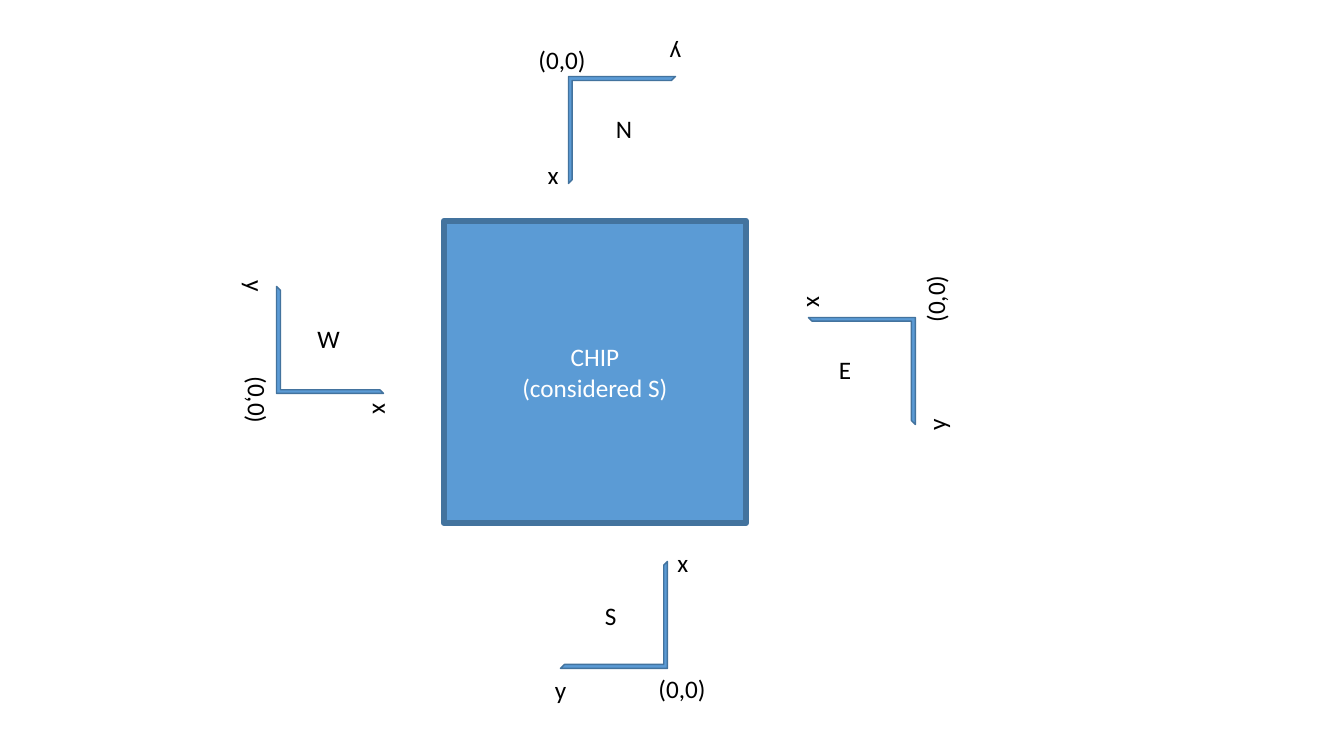
import math
import pptx
import pptx.util
import pptx.dml.color
import pptx.enum.shapes
import pptx.enum.text

PIXEL = 914400 / 100.8
BLUE = pptx.dml.color.RGBColor(0x5B, 0x9B, 0xD5)
DARK_BLUE = pptx.dml.color.RGBColor(0x43, 0x73, 0x9E)
BLACK = pptx.dml.color.RGBColor(0, 0, 0)
WHITE = pptx.dml.color.RGBColor(255, 255, 255)
FRAME_SIZE = 107
LABEL_HEIGHT = 40


def add_block(shapes, kind, center_x, center_y, size, line_width):
    shape = shapes.add_shape(
        kind,
        round((center_x - size / 2) * PIXEL),
        round((center_y - size / 2) * PIXEL),
        round(size * PIXEL),
        round(size * PIXEL),
    )
    shape.shadow.inherit = False
    shape.fill.solid()
    shape.fill.fore_color.rgb = BLUE
    shape.line.color.rgb = DARK_BLUE
    shape.line.width = pptx.util.Pt(line_width)
    return shape


def add_label(shapes, text, center_x, center_y, width, rotation=0):
    label = shapes.add_textbox(
        round((center_x - width / 2) * PIXEL),
        round((center_y - LABEL_HEIGHT / 2) * PIXEL),
        round(width * PIXEL),
        round(LABEL_HEIGHT * PIXEL),
    )
    label.rotation = rotation
    text_frame = label.text_frame
    text_frame.word_wrap = False
    text_frame.auto_size = pptx.enum.text.MSO_AUTO_SIZE.SHAPE_TO_FIT_TEXT
    text_frame.text = text
    font = text_frame.paragraphs[0].runs[0].font
    font.name = "Calibri"
    font.size = pptx.util.Pt(18)
    font.color.rgb = BLACK


presentation = pptx.Presentation()
presentation.slide_width = round(1344 * PIXEL)
presentation.slide_height = round(756 * PIXEL)
slide = presentation.slides.add_slide(presentation.slide_layouts[6])

chip = add_block(
    slide.shapes, pptx.enum.shapes.MSO_SHAPE.RECTANGLE, 595, 372, 302, 4.5
)
chip.text_frame.text = "CHIP\n(considered S)"
chip.text_frame.vertical_anchor = pptx.enum.text.MSO_ANCHOR.MIDDLE
for paragraph in chip.text_frame.paragraphs:
    paragraph.alignment = pptx.enum.text.PP_ALIGN.CENTER
    font = paragraph.runs[0].font
    font.name = "Calibri"
    font.size = pptx.util.Pt(18)
    font.color.rgb = WHITE

axis_labels = [("x", 69, -53, 31), ("y", -53, 74, 32)]
axes = [
    (0, 614, 615),
    (270, 862, 371),
    (180, 622, 130),
    (90, 330, 340),
]
for rotation, center_x, center_y in axes:
    group = slide.shapes.add_group_shape()
    frame = add_block(
        group.shapes,
        pptx.enum.shapes.MSO_SHAPE.HALF_FRAME,
        center_x,
        center_y,
        FRAME_SIZE,
        1,
    )
    frame.adjustments[0] = 0.038
    frame.adjustments[1] = 0.034
    frame.rotation = rotation
    transform = frame._element.spPr.xfrm
    transform.set("flipH", "1")
    transform.set("flipV", "1")

    cosine = math.cos(math.radians(rotation))
    sine = math.sin(math.radians(rotation))
    for text, offset_x, offset_y, width in axis_labels:
        label_x = center_x + offset_x * cosine - offset_y * sine
        label_y = center_y + offset_x * sine + offset_y * cosine
        add_label(group.shapes, text, label_x, label_y, width, rotation)

side_labels = [
    ("S", 611, 615, 32),
    ("E", 845, 369, 32),
    ("N", 624, 128, 36),
    ("W", 329, 338, 43),
]
for text, center_x, center_y, width in side_labels:
    add_label(slide.shapes, text, center_x, center_y, width)

origins = [(683, 688, 0), (935, 298, 270), (563, 59, 0), (258, 401, 90)]
for center_x, center_y, rotation in origins:
    add_label(slide.shapes, "(0,0)", center_x, center_y, 69, rotation)

presentation.save("out.pptx")
